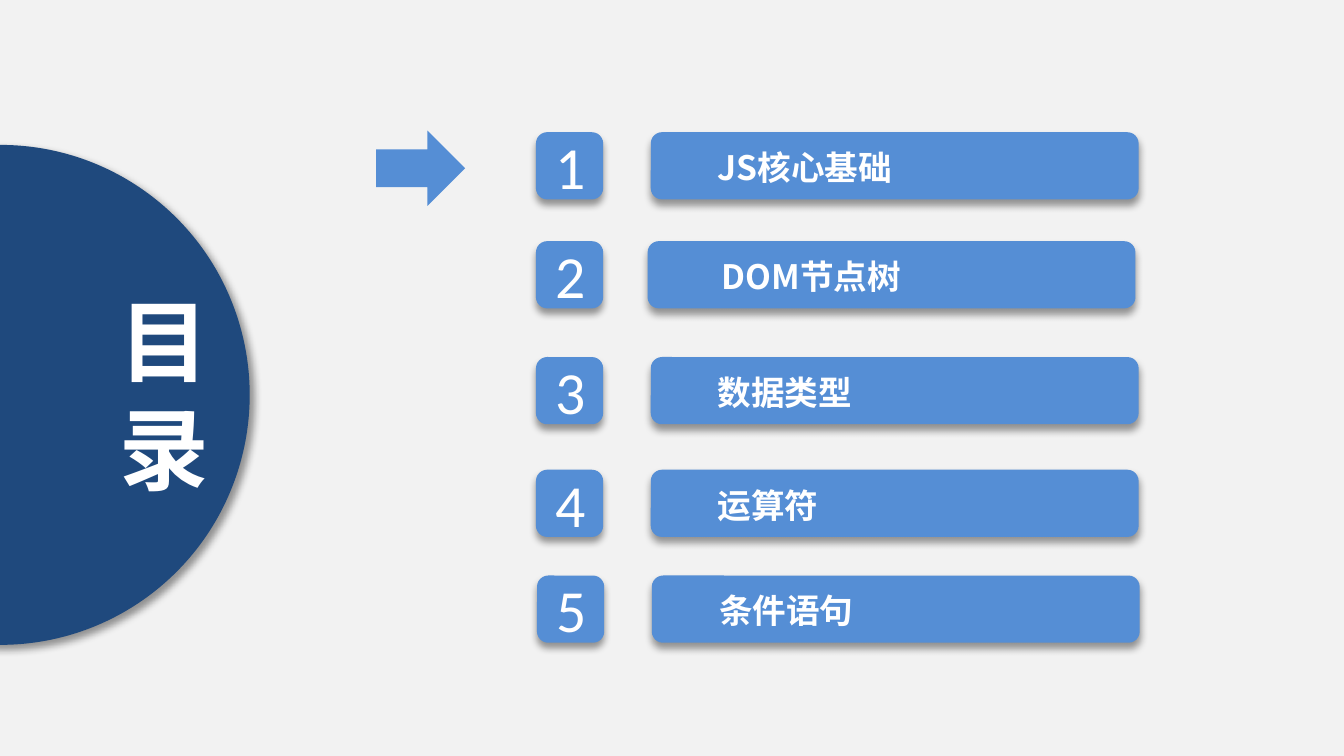
from lxml.etree import SubElement
from pptx import Presentation
from pptx.dml.color import RGBColor
from pptx.enum.shapes import MSO_SHAPE
from pptx.enum.text import MSO_ANCHOR, PP_ALIGN
from pptx.oxml.ns import qn
from pptx.util import Cm, Pt

NAVY, BLUE, WHITE, PALE = "1F497D", "558ED5", "FFFFFF", "F2F2F2"
CJK = "Noto Sans CJK SC"
TITLE = {"name": CJK, "size": Pt(48), "bold": True}
LABEL = {"name": CJK, "size": Pt(18), "bold": True}
NUMBER = {"name": "Calibri", "size": Pt(32), "bold": False}
WIDE = {"margin_left": Cm(0.33), "margin_right": Cm(0.33),
        "margin_top": Cm(0.18), "margin_bottom": Cm(0.18), "word_wrap": True}
TOP = {**WIDE, "vertical_anchor": MSO_ANCHOR.TOP}
MIDDLE = {"margin_left": Cm(0.3), "margin_right": Cm(0.3),
          "margin_top": Cm(0.15), "margin_bottom": Cm(0.15),
          "word_wrap": True, "vertical_anchor": MSO_ANCHOR.MIDDLE}


def color(value):
    return RGBColor.from_string(value)


def set_all(target, values):
    for name, value in values.items():
        setattr(target, name, value)


def add_shadow(shape, angle):
    effects = shape._element.spPr.find(qn("a:effectLst"))
    shadow = SubElement(effects, qn("a:outerShdw"), blurRad=str(Pt(4)),
                        dist=str(Pt(3)), dir=str(angle * 60000),
                        algn="ctr", rotWithShape="0")
    black = SubElement(shadow, qn("a:srgbClr"), val="000000")
    SubElement(black, qn("a:alpha"), val="40000")


def add_block(shapes, kind, box, fill, angle=None):
    shape = shapes.add_shape(kind, *map(Cm, box))
    shape.shadow.inherit = False
    shape.fill.solid()
    shape.fill.fore_color.rgb = color(fill)
    shape.line.fill.background()
    if angle is not None:
        add_shadow(shape, angle)
    return shape


def write(shape, lines, font, frame, align):
    text = shape.text_frame
    set_all(text, frame)
    for index, line in enumerate(lines):
        para = text.add_paragraph() if index else text.paragraphs[0]
        para.alignment = align
        span = para.add_run()
        span.text = line
        set_all(span.font, font)
        span.font.color.rgb = color(WHITE)
        SubElement(span._r.get_or_add_rPr(), qn("a:ea"), typeface=font["name"])


def add_title(page, box):
    left, top, width, height = box
    shapes = page.shapes.add_group_shape().shapes
    add_block(shapes, MSO_SHAPE.OVAL, box, NAVY, 45)
    title = shapes.add_textbox(Cm(left + 4.5), Cm(top + 2.49), Cm(6.6), Cm(4.45))
    write(title, "目录", TITLE, TOP, PP_ALIGN.CENTER)


def add_entry(page, number, caption, box, bar_left, label_left):
    left, top, width, height = box
    badge = add_block(page.shapes, MSO_SHAPE.ROUNDED_RECTANGLE,
                      (left, top, height, height), BLUE, 90)
    write(badge, [str(number)], NUMBER, MIDDLE, PP_ALIGN.CENTER)
    shapes = page.shapes.add_group_shape().shapes
    add_block(shapes, MSO_SHAPE.ROUNDED_RECTANGLE,
              (bar_left, top, width, height), BLUE, 90)
    label = add_block(shapes, MSO_SHAPE.RECTANGLE,
                      (label_left, top + 0.1, 6.7, 1.12), BLUE)
    write(label, [caption], LABEL, TOP, PP_ALIGN.LEFT)


def add_pointer(page, box):
    arrow = add_block(page.shapes, MSO_SHAPE.DOWN_ARROW, box, BLUE)
    arrow.rotation = 270


def main():
    deck = Presentation()
    deck.slide_width, deck.slide_height = Cm(25.4), Cm(14.29)
    page = deck.slides.add_slide(deck.slide_layouts[6])
    page.background.fill.solid()
    page.background.fill.fore_color.rgb = color(PALE)
    add_title(page, (-4.7, 2.74, 9.42, 9.45))
    entries = [
        ("JS核心基础", 10.13, 2.5, 12.3, 13.23),
        ("DOM节点树", 10.13, 4.56, 12.24, 13.31),
        ("数据类型", 10.13, 6.75, 12.3, 13.23),
        ("运算符", 10.13, 8.88, 12.3, 13.23),
        ("条件语句", 10.15, 10.88, 12.32, 13.26),
    ]
    for number, (caption, left, top, bar_left, label_left) in enumerate(entries, 1):
        add_entry(page, number, caption, (left, top, 9.22, 1.27), bar_left, label_left)
    add_pointer(page, (7.24, 2.34, 1.42, 1.68))
    deck.save("out.pptx")


if __name__ == "__main__":
    main()
